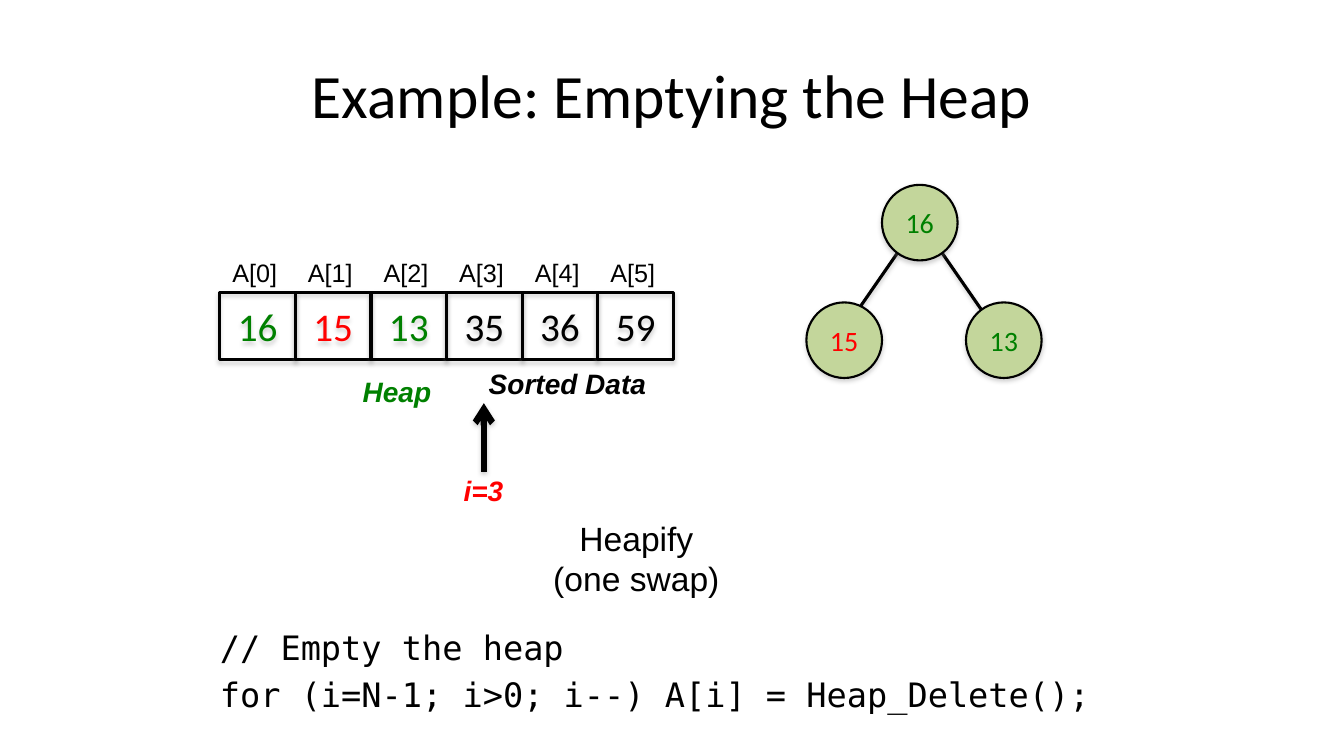
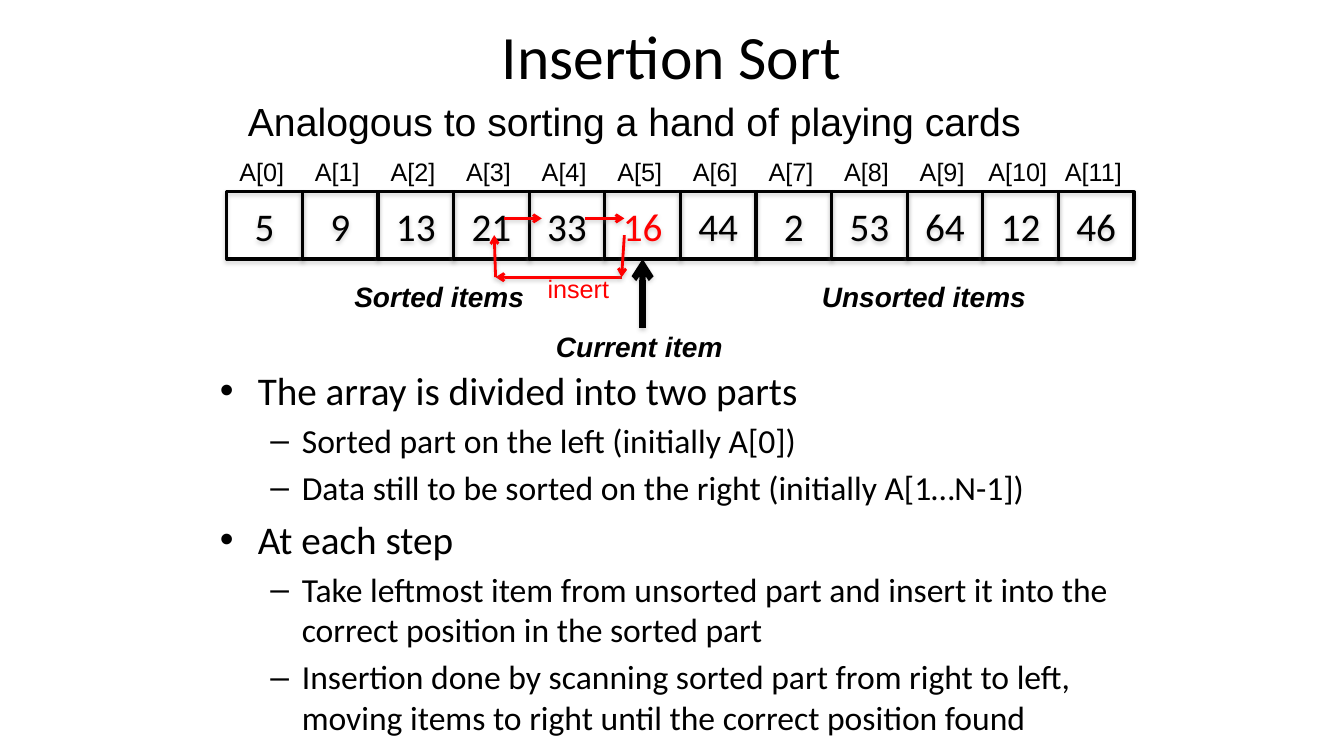
"""Build two slides on heap sort and insertion sort."""
from lxml import etree
from pptx import Presentation
from pptx.dml.color import RGBColor
from pptx.enum.shapes import MSO_CONNECTOR, MSO_SHAPE
from pptx.enum.text import MSO_ANCHOR, PP_ALIGN
from pptx.oxml.ns import qn
from pptx.util import Pt

LINE = MSO_CONNECTOR.STRAIGHT
RECT = MSO_SHAPE.RECTANGLE
OVAL = MSO_SHAPE.OVAL
MIDDLE = MSO_ANCHOR.MIDDLE
LEFT = PP_ALIGN.LEFT
CENTER = PP_ALIGN.CENTER

BLACK = RGBColor(0x00, 0x00, 0x00)
GREEN = RGBColor(0x00, 0x80, 0x00)
RED = RGBColor(0xFF, 0x00, 0x00)
LEAF = RGBColor(0xC3, 0xD6, 0x9B)

BODY = "Calibri"
LABEL = "Arial"
CODE = "DejaVu Sans Mono"

CELL_W, CELL_H = 54, 48
INDEX_W, INDEX_H = 64, 29
NODE = 54
LEVELS = [("•", 28, 27, -27), ("–", 24, 58.5, -22.5)]


def style(par, size, color=BLACK, face=BODY, strong=False, align=LEFT):
    """Set the font and alignment of a paragraph."""
    par.alignment = align
    font = par.font
    font.name, font.size = face, Pt(size)
    font.bold = font.italic = strong
    font.color.rgb = color


def fill_text(frame, lines, gap=0, **look):
    """Write lines as paragraphs of one look."""
    for i, line in enumerate(lines):
        par = frame.paragraphs[0] if i == 0 else frame.add_paragraph()
        par.text = line
        par.space_before = Pt(gap if i else 0)
        style(par, **look)


def add_text(slide, box, *lines, wrap=False, face=LABEL, **look):
    """Add a text box."""
    frame = slide.shapes.add_textbox(*map(Pt, box)).text_frame
    frame.word_wrap = wrap
    fill_text(frame, lines, face=face, **look)


def add_note(slide, box, text, color=BLACK):
    """Add a bold italic note."""
    add_text(slide, box, text, size=20, color=color, strong=True)


def add_title(deck, text, box):
    """Add a slide with a centred title."""
    slide = deck.slides.add_slide(deck.slide_layouts[5])
    title = slide.shapes.title
    title.left, title.top, title.width, title.height = map(Pt, box)
    frame = title.text_frame
    frame.vertical_anchor = MIDDLE
    fill_text(frame, [text], size=44, align=CENTER)
    return slide


def add_shadow(item, dist, alpha):
    """Put a soft grey shadow below a shape or line."""
    props = item._element.spPr
    effects = props.find(qn("a:effectLst"))
    if effects is None:
        effects = etree.SubElement(props, qn("a:effectLst"))
    outer = etree.SubElement(
        effects, qn("a:outerShdw"), blurRad=str(Pt(3.1)), dist=str(Pt(dist)),
        dir="5400000", rotWithShape="0")
    tint = etree.SubElement(outer, qn("a:srgbClr"), val="808080")
    etree.SubElement(tint, qn("a:alpha"), val=str(alpha * 1000))


def add_line(slide, start, end, width=2.25, color=BLACK, arrow=False):
    """Draw a straight line, with an arrowhead if asked."""
    link = slide.shapes.add_connector(LINE, *map(Pt, start + end))
    link.line.width = Pt(width)
    link.line.color.rgb = color
    if arrow:
        etree.SubElement(link.line._get_or_add_ln(), qn("a:tailEnd"), type="arrow")
    add_shadow(link, 1.6, 38)


def add_value(slide, kind, box, text, size, color, width, fill=None):
    """Draw an outlined shape that holds a value."""
    shape = slide.shapes.add_shape(kind, *map(Pt, box))
    shape.shadow.inherit = False
    if fill is None:
        shape.fill.background()
    else:
        shape.fill.solid()
        shape.fill.fore_color.rgb = fill
    shape.line.color.rgb = BLACK
    shape.line.width = Pt(width)
    add_shadow(shape, 1.8, 35)
    frame = shape.text_frame
    frame.word_wrap = False
    frame.vertical_anchor = MIDDLE
    fill_text(frame, [str(text)], size=size, color=color, align=CENTER)


def add_array(slide, left, top, values, colors):
    """Draw a row of cells with an index above each."""
    shift = (CELL_W - INDEX_W) / 2 - 2
    for i, value in enumerate(values):
        x = left + i * CELL_W
        add_value(slide, RECT, (x, top, CELL_W, CELL_H), value, 28,
                  colors.get(i, BLACK), 2.25)
        add_text(slide, (x + shift, top - INDEX_H, INDEX_W, INDEX_H),
                 f"A[{i}]", size=18, align=CENTER)


def add_list(slide, box, items):
    """Add a bullet list from pairs of level and text."""
    frame = slide.shapes.add_textbox(*map(Pt, box)).text_frame
    frame.word_wrap = True
    for i, (level, text) in enumerate(items):
        mark, size, margin, indent = LEVELS[level]
        par = frame.paragraphs[0] if i == 0 else frame.add_paragraph()
        par.text = text
        par.level = level
        par.space_before = Pt(size / 5 if i else 0)
        props = par._p.get_or_add_pPr()
        props.set("marL", str(Pt(margin)))
        props.set("indent", str(Pt(indent)))
        etree.SubElement(props, qn("a:buFont"), typeface=LABEL)
        etree.SubElement(props, qn("a:buChar"), char=mark)
        style(par, size)


def build_heap(deck):
    """Build the slide on emptying the heap."""
    slide = add_title(deck, "Example: Emptying the Heap", (48, 22, 864, 90))
    add_line(slide, (660, 162), (714, 240))
    add_line(slide, (654, 162), (600, 240))
    nodes = [(630, 132, 16, GREEN), (576, 216, 15, RED), (690, 216, 13, GREEN)]
    for x, y, value, color in nodes:
        add_value(slide, OVAL, (x, y, NODE, NODE), value, 20, color, 1.5, LEAF)
    add_array(slide, 157, 209, [16, 15, 13, 35, 36, 59],
              {0: GREEN, 1: RED, 2: GREEN})
    add_note(slide, (252, 264, 64, 32), "Heap", GREEN)
    add_note(slide, (342, 258, 132, 32), "Sorted Data")
    add_line(slide, (345.6, 337), (345.6, 288), 4.5, arrow=True)
    add_note(slide, (324, 335, 43, 32), "i=3", RED)
    add_text(slide, (387, 366.5, 135, 66), "Heapify", "(one swap)", size=24,
             align=CENTER)
    add_text(slide, (150, 444, 648, 78), "// Empty the heap",
             "for (i=N-1; i>0; i--) A[i] = Heap_Delete();",
             wrap=True, size=24, face=CODE, gap=4.8)


def build_sort(deck):
    """Build the slide on insertion sort."""
    slide = add_title(deck, "Insertion Sort", (156, 6, 648, 66))
    add_list(slide, (150, 258, 666, 276), [
        (0, "The array is divided into two parts"),
        (1, "Sorted part on the left (initially A[0])"),
        (1, "Data still to be sorted on the right (initially A[1…N-1])"),
        (0, "At each step"),
        (1, "Take leftmost item from unsorted part and insert it into the "
            "correct position in the sorted part"),
        (1, "Insertion done by scanning sorted part from right to left, "
            "moving items to right until the correct position found"),
    ])
    add_text(slide, (170, 66, 572, 41),
             "Analogous to sorting a hand of playing cards", size=28)
    add_array(slide, 162, 137, [5, 9, 13, 21, 33, 16, 44, 2, 53, 64, 12, 46],
              {5: RED})
    add_line(slide, (459, 234), (459, 185), 4.5, arrow=True)
    add_note(slide, (390, 232, 140, 32), "Current item")
    add_note(slide, (246, 196, 142, 32), "Sorted items")
    add_note(slide, (580, 196, 166, 32), "Unsorted items")
    moves = [
        ((444, 198), (354, 198)),
        ((418, 156), (446, 156)),
        ((360, 156), (387, 156)),
        ((446, 168), (444, 198)),
        ((354, 198), (353, 168)),
    ]
    for start, end in moves:
        add_line(slide, start, end, 2, RED, arrow=True)
    add_text(slide, (384, 192, 59, 29), "insert", size=18, color=RED)


def main():
    """Build and save the deck."""
    deck = Presentation()
    deck.slide_width, deck.slide_height = Pt(960), Pt(540)
    build_heap(deck)
    build_sort(deck)
    deck.save("out.pptx")


if __name__ == "__main__":
    main()
